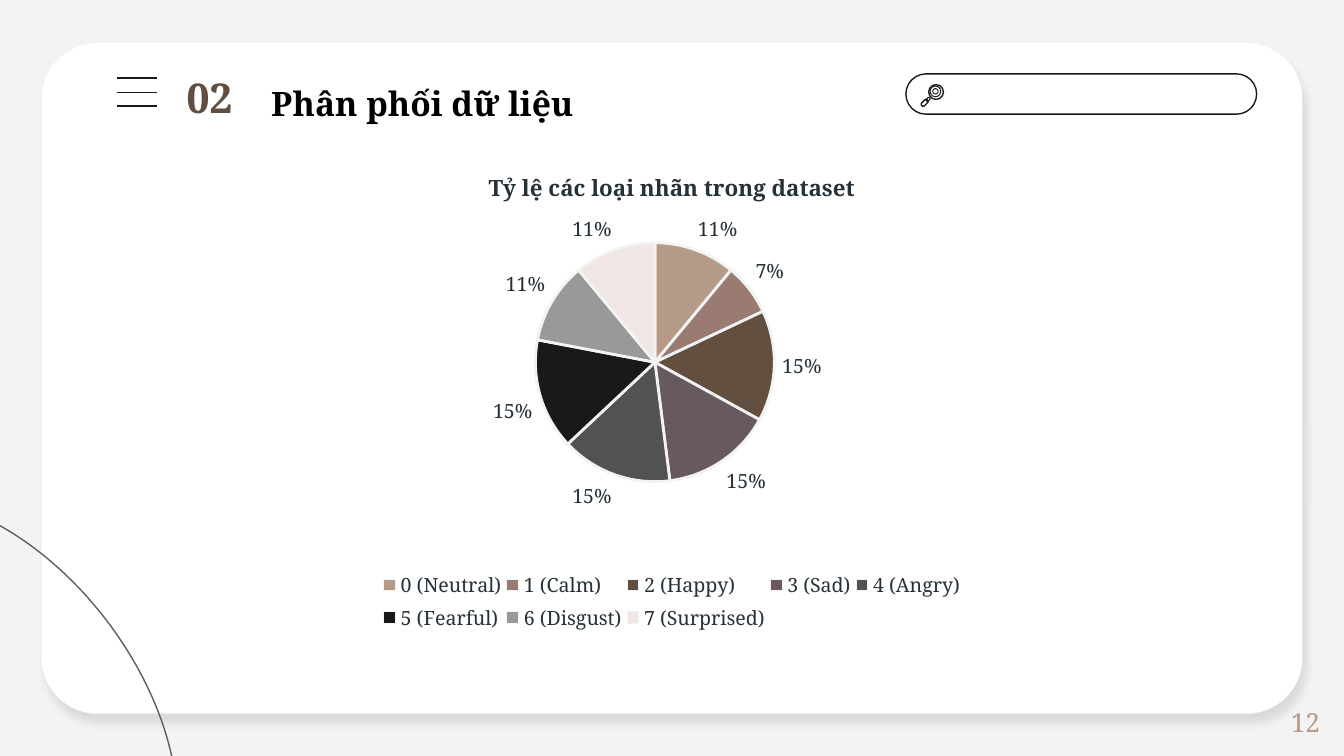
from lxml import etree
from pptx import Presentation
from pptx.chart.data import CategoryChartData
from pptx.dml.color import RGBColor
from pptx.enum.chart import XL_CHART_TYPE, XL_LABEL_POSITION, XL_LEGEND_POSITION
from pptx.enum.shapes import MSO_CONNECTOR, MSO_SHAPE
from pptx.enum.text import MSO_ANCHOR, MSO_AUTO_SIZE, PP_ALIGN
from pptx.oxml import parse_xml
from pptx.oxml.ns import nsdecls, qn
from pptx.util import Inches, Pt

PIE = XL_CHART_TYPE.PIE
OUTSIDE_END = XL_LABEL_POSITION.OUTSIDE_END
LEGEND_BOTTOM = XL_LEGEND_POSITION.BOTTOM
ROUNDED, OVAL, ARC = MSO_SHAPE.ROUNDED_RECTANGLE, MSO_SHAPE.OVAL, MSO_SHAPE.ARC
STRAIGHT = MSO_CONNECTOR.STRAIGHT

# Content
SECTION_NUMBER = "02"
HEADING = "Phân phối dữ liệu"
PAGE_NUMBER = "12"
CHART_TITLE = "Tỷ lệ các loại nhãn trong dataset"
EMOTIONS = [  # label, share in percent, slice colour
    ("0 (Neutral)", 11, "B49A87"),
    ("1 (Calm)", 7, "9A7B72"),
    ("2 (Happy)", 15, "634F40"),
    ("3 (Sad)", 15, "67595E"),
    ("4 (Angry)", 15, "525252"),
    ("5 (Fearful)", 15, "191919"),
    ("6 (Disgust)", 11, "999999"),
    ("7 (Surprised)", 11, "F0E7E4"),
]
PLOT_AREA = {"x": 0.3, "y": 0.1, "w": 0.35, "h": 0.59}
LEGEND_AREA = {"x": 0.07, "y": 0.77, "w": 0.86, "h": 0.13}
MENU_LINES = (0.58, 0.69, 0.79)

THEME = {
    "font": "Noto Serif",
    "background": "F3F3F3", "card": "FFFFFF", "ink": "191919", "curve": "67595E",
    "heading": "000000", "number": "634F40", "page": "B49A87", "chart": "263238",
    "heading_size": 18, "number_size": 22, "page_size": 14,
    "title_size": 12, "chart_size": 10.5,
}


def rgb(name):
    return RGBColor.from_string(THEME.get(name, name))


def style_font(font, size, color, bold=False):
    font.name = THEME["font"]
    font.size = Pt(THEME[size])
    font.color.rgb = rgb(color)
    font.bold = bold


def add_shape(kind, box, fill=None, line=None, width=0.75, rotation=0):
    shape = slide.shapes.add_shape(kind, *map(Inches, box))
    shape.shadow.inherit = False
    shape.rotation = rotation
    if fill:
        shape.fill.solid()
        shape.fill.fore_color.rgb = rgb(fill)
    else:
        shape.fill.background()
    if line:
        shape.line.color.rgb = rgb(line)
        shape.line.width = Pt(width)
    else:
        shape.line.fill.background()
    return shape


def add_text(text, box, size, color, bold=False, align=PP_ALIGN.LEFT):
    frame = slide.shapes.add_textbox(*map(Inches, box)).text_frame
    frame.word_wrap = True
    paragraph = frame.paragraphs[0]
    paragraph.text = text
    paragraph.alignment = align
    style_font(paragraph.font, size, color, bold)
    return frame


def manual_layout(area, target=""):
    modes = "".join(f'<c:{axis}Mode val="edge"/>' for axis in "xy")
    extents = "".join(f'<c:{key} val="{value}"/>' for key, value in area.items())
    return parse_xml(f'<c:layout {nsdecls("c")}><c:manualLayout>{target}{modes}{extents}'
                     '</c:manualLayout></c:layout>')


deck = Presentation()
deck.slide_width = Inches(10)
deck.slide_height = deck.slide_width * 9 // 16
slide = deck.slides.add_slide(deck.slide_layouts[6])
slide.background.fill.solid()
slide.background.fill.fore_color.rgb = rgb("background")

# Card with a soft shadow, and the corner curve
card = add_shape(ROUNDED, (0.31, 0.32, 9.38, 4.99), fill="card")
card.adjustments[0] = 0.083
effects = card._element.spPr.find(qn("a:effectLst"))
effects.append(parse_xml(
    f'<a:outerShdw {nsdecls("a")} blurRad="{Pt(4.5)}" dist="{Pt(6)}" dir="{68 * 60000}" '
    'algn="bl" rotWithShape="0"><a:srgbClr val="000000"><a:alpha val="10000"/>'
    '</a:srgbClr></a:outerShdw>'))
add_shape(OVAL, (-1.96, 4.17, 3.68, 2.31), line="curve", rotation=53)

# Menu icon
for y in MENU_LINES:
    bar = slide.shapes.add_connector(STRAIGHT, Inches(0.87), Inches(y), Inches(1.17), Inches(y))
    bar.line.color.rgb = rgb("ink")
    bar.line.width = Pt(0.75)
    etree.SubElement(bar._element.spPr, qn("a:effectLst"))

# Search bar with its magnifier: rim, lens, glint, neck, handle
search_bar = add_shape(ROUNDED, (6.74, 0.55, 2.61, 0.3), line="ink")
search_bar.adjustments[0] = 0.5
add_shape(OVAL, (6.91, 0.63, 0.11, 0.11), line="ink")
add_shape(OVAL, (6.92, 0.64, 0.08, 0.08), line="ink", width=0.5)
glint = add_shape(ARC, (6.94, 0.66, 0.04, 0.04), line="ink", width=0.5)
glint.adjustments[0], glint.adjustments[1] = -135, -45
add_shape(ROUNDED, (6.89, 0.73, 0.03, 0.02), line="ink", width=0.5, rotation=-45)
handle = add_shape(ROUNDED, (6.85, 0.75, 0.06, 0.03), line="ink", rotation=-45)
handle.adjustments[0] = 0.5

# Page number, heading and section number
page = add_text(PAGE_NUMBER, (7.67, 5.22, 2.25, 0.3), "page_size", "page", align=PP_ALIGN.RIGHT)
page.vertical_anchor = MSO_ANCHOR.MIDDLE
heading = add_text(HEADING, (1.92, 0.46, 7.27, 0.5), "heading_size", "heading", True,
                   PP_ALIGN.JUSTIFY)
heading.margin_top = heading.margin_bottom = Inches(0.1)
heading.paragraphs[0].line_spacing = 1.2
section = add_text(SECTION_NUMBER, (1.29, 0.49, 0.58, 0.47), "number_size", "number", True)
section.auto_size = MSO_AUTO_SIZE.SHAPE_TO_FIT_TEXT

# Pie chart
labels, shares, colors = zip(*EMOTIONS)
data = CategoryChartData()
data.categories = labels
data.add_series("Series 1", shares)
chart = slide.shapes.add_chart(
    PIE, *map(Inches, (2.46, 1.1, 5.08, 4.04)), data).chart
style_font(chart.font, "chart_size", "chart")
chart.has_title = True
chart_title = chart.chart_title.text_frame.paragraphs[0]
chart_title.text = CHART_TITLE
style_font(chart_title.font, "title_size", "chart", True)
chart.chart_title.include_in_layout = False

pie = chart.plots[0]
pie.vary_by_categories = True
for index, color in enumerate(colors):
    slice_format = pie.series[0].points[index].format
    slice_format.fill.solid()
    slice_format.fill.fore_color.rgb = rgb(color)
    slice_format.line.color.rgb = rgb("background")
    slice_format.line.width = Pt(1.5)

pie.has_data_labels = True
share_labels = pie.data_labels
share_labels.show_value = True
share_labels.show_percentage = False
share_labels.number_format = '0"%"'
share_labels.number_format_is_linked = False
share_labels.position = OUTSIDE_END
style_font(share_labels.font, "chart_size", "chart")

# Legend, and the fixed places of legend and pie inside the chart
chart.has_legend = True
legend = chart.legend
legend.position = LEGEND_BOTTOM
legend.include_in_layout = False
style_font(legend.font, "chart_size", "chart")
plot_area = chart._chartSpace.chart.plotArea
for parent in (plot_area, legend._element):
    for old_layout in parent.findall(qn("c:layout")):
        parent.remove(old_layout)
plot_area.insert(0, manual_layout(PLOT_AREA, '<c:layoutTarget val="inner"/>'))
legend._element.find(qn("c:legendPos")).addnext(manual_layout(LEGEND_AREA))

deck.save("out.pptx")
